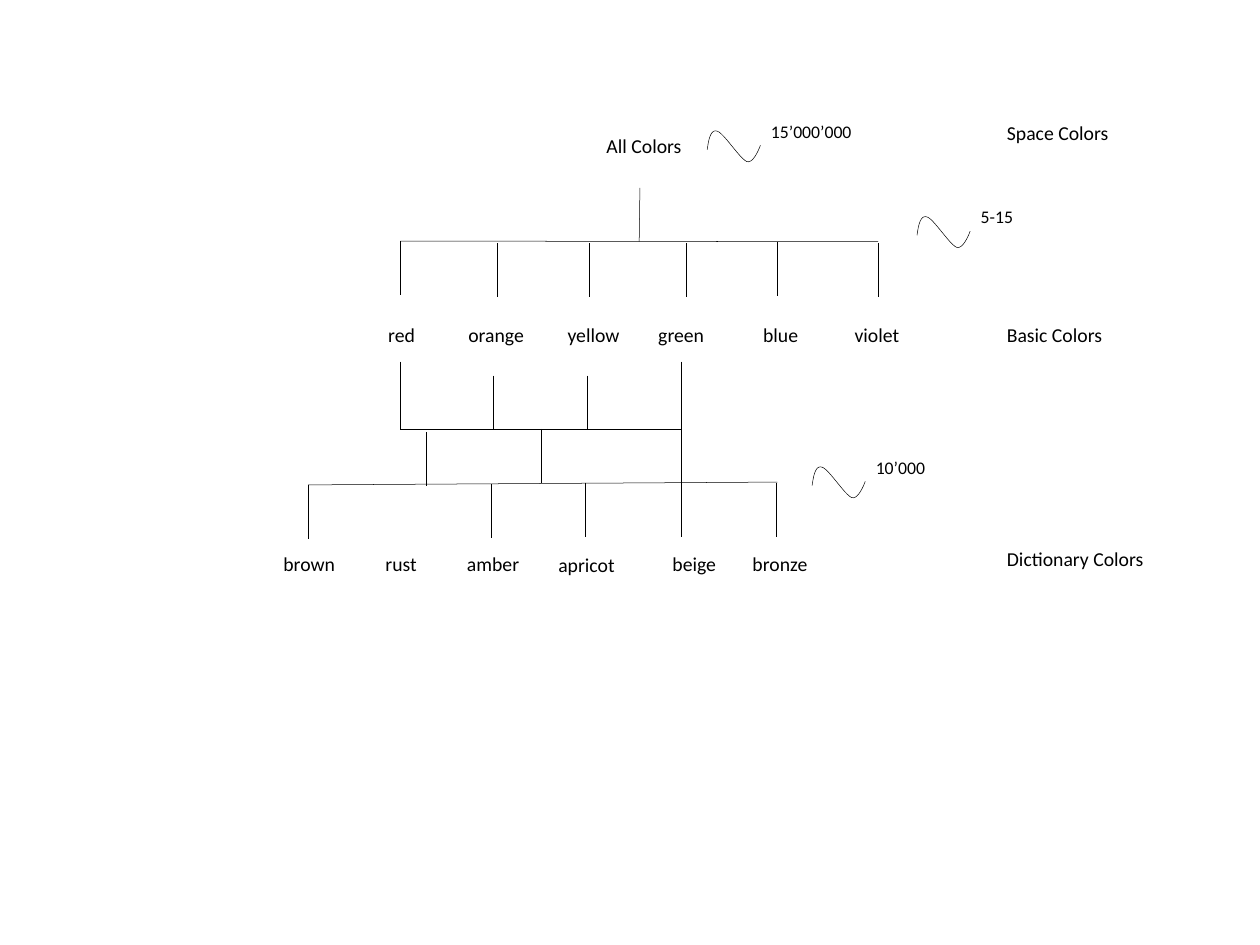
import pptx
import pptx.dml.color
import pptx.enum.shapes
import pptx.enum.text
import pptx.oxml.ns
import pptx.util
from lxml import etree

Inches = pptx.util.Inches
COLORS = {"ink": "000000", "background": "FFFFFF"}
STEM = 0.76

# Four Bézier points per curve, relative to the left end of the wave
WAVE_CURVES = [
    [(0, 0), (0.02, -0.15), (0.05, -0.29), (0.14, -0.26)],
    [(0.14, -0.26), (0.23, -0.24), (0.46, 0.13), (0.56, 0.17)],
    [(0.56, 0.17), (0.66, 0.2), (0.75, -0.06), (0.75, -0.06)],
]


def bezier(points, t):
    weights = ((1 - t) ** 3, 3 * t * (1 - t) ** 2, 3 * t ** 2 * (1 - t), t ** 3)
    return tuple(sum(w * p[axis] for w, p in zip(weights, points)) for axis in (0, 1))


class ColorTree:
    font = "Calibri"
    line_width = pptx.util.Pt(0.5)

    def __init__(self, slide):
        self.slide = slide
        background = slide.background.fill
        background.solid()
        background.fore_color.rgb = self.color("background")

    def color(self, name):
        return pptx.dml.color.RGBColor.from_string(COLORS[name])

    def ink(self, line):
        line.color.rgb = self.color("ink")
        line.width = self.line_width

    def label(self, text, left, top, width=1.78, height=0.44, size=20, wrap=True):
        box = self.slide.shapes.add_textbox(
            Inches(left), Inches(top), Inches(width), Inches(height))
        frame = box.text_frame
        frame.word_wrap = wrap
        frame.auto_size = pptx.enum.text.MSO_AUTO_SIZE.SHAPE_TO_FIT_TEXT
        paragraph = frame.paragraphs[0]
        paragraph.text = text
        paragraph.font.name = self.font
        paragraph.font.size = pptx.util.Pt(size)
        paragraph.font.color.rgb = self.color("ink")

    def branch(self, x1, y1, x2, y2):
        connector = self.slide.shapes.add_connector(
            pptx.enum.shapes.MSO_CONNECTOR.STRAIGHT,
            Inches(x1), Inches(y1), Inches(x2), Inches(y2))
        self.ink(connector.line)
        etree.SubElement(connector._element.spPr, pptx.oxml.ns.qn("a:effectLst"))

    def stem(self, x, top, length=STEM):
        self.branch(x, top, x, top + length)

    def wave(self, left, middle, steps=12):
        """Draw the tilde that stands before a count."""
        points = [bezier(curve, step / steps)
                  for curve in WAVE_CURVES for step in range(1, steps + 1)]
        builder = self.slide.shapes.build_freeform(Inches(left), Inches(middle))
        builder.add_line_segments(
            [(Inches(left + x), Inches(middle + y)) for x, y in points], close=False)
        tilde = builder.convert_to_shape()
        tilde.fill.background()
        tilde.shadow.inherit = False
        self.ink(tilde.line)

    def count(self, text, left, top, width, wrap=False):
        self.wave(left - 0.8, top + 0.46)
        self.label(text, left, top, width, 0.4, size=18, wrap=wrap)


def main():
    deck = pptx.Presentation()
    deck.slide_width, deck.slide_height = Inches(17.78), Inches(13.33)
    tree = ColorTree(deck.slides.add_slide(deck.slide_layouts[6]))

    # All colors split into the basic colors
    tree.label("All Colors", 8.46, 1.84)
    tree.branch(9.03, 2.65, 9.02, 3.41)
    tree.branch(5.65, 3.4, 12.39, 3.41)
    for x, top in [(5.65, 3.4), (7.01, 3.43), (8.31, 3.43),
                   (9.69, 3.43), (10.97, 3.41), (12.39, 3.43)]:
        tree.stem(x, top)
    for name, left in [("red", 5.38), ("orange", 6.51), ("yellow", 7.91),
                       ("green", 9.19), ("blue", 10.67), ("violet", 11.96)]:
        tree.label(name, left, 4.51)

    # Basic colors combine into the dictionary colors
    tree.branch(5.65, 6.05, 9.61, 6.05)
    tree.branch(4.35, 6.84, 10.97, 6.8)
    tree.stem(5.65, 5.1, 0.95)
    tree.stem(9.61, 5.1, 2.47)
    for x, top in [(6.96, 5.3), (8.28, 5.3), (6.02, 6.1), (7.64, 6.05),
                   (4.35, 6.84), (6.93, 6.83), (8.26, 6.81), (10.95, 6.82)]:
        tree.stem(x, top)
    for name, left in [("brown", 3.9), ("rust", 5.34), ("amber", 6.49),
                       ("beige", 9.39), ("bronze", 10.52)]:
        tree.label(name, left, 7.73)
    tree.label("apricot", 7.78, 7.75, 1.24)

    for level, top in [("Space Colors", 1.65), ("Basic Colors", 4.51),
                       ("Dictionary Colors", 7.67)]:
        tree.label(level, 14.11, top, 2.34)
    tree.count("15’000’000", 10.78, 1.65, 1.35)
    tree.count("5-15", 13.74, 2.86, 1.2, wrap=True)
    tree.count("10’000", 12.26, 6.39, 0.9)

    deck.save("out.pptx")


if __name__ == "__main__":
    main()
